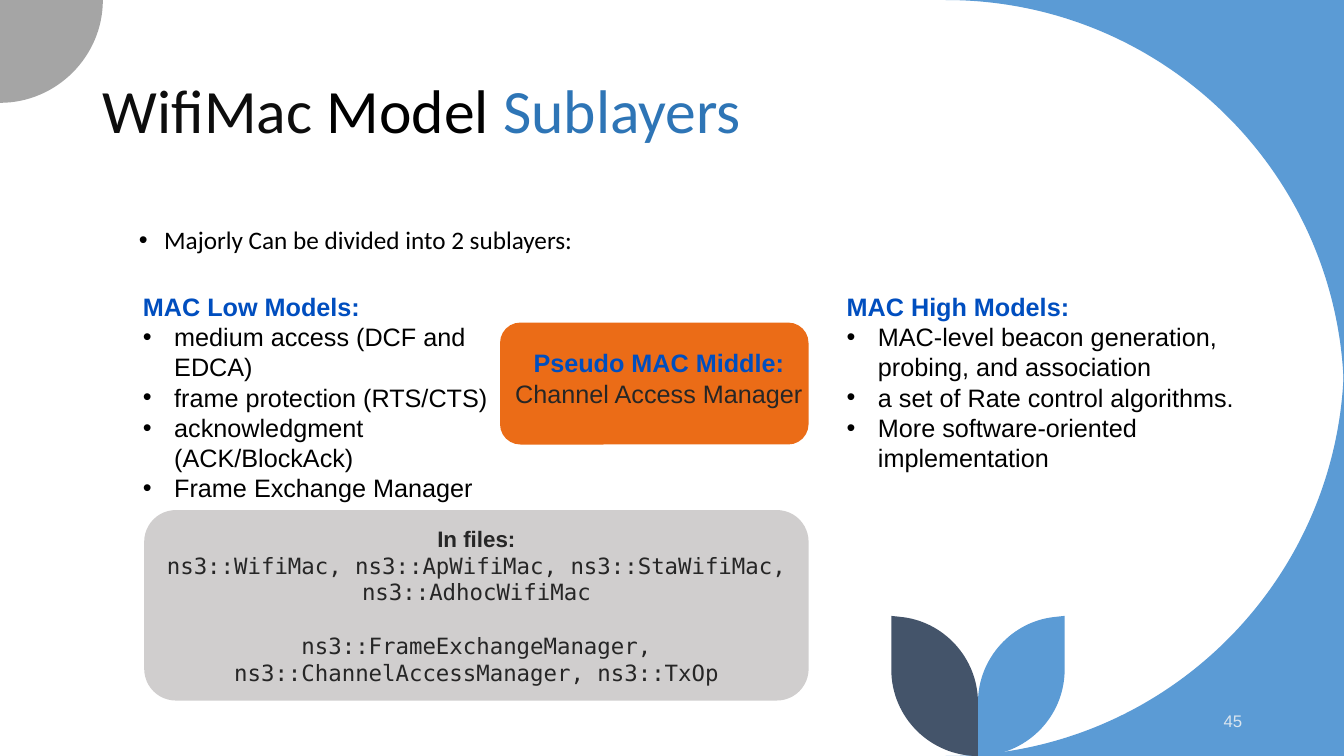
from pptx import Presentation
from pptx.dml.color import RGBColor
from pptx.enum import shapes, text
from pptx.util import Inches, Pt
from lxml import etree

BLUE = RGBColor(0x5B, 0x9B, 0xD5)
GRAY = RGBColor(0xA5, 0xA5, 0xA5)
NAVY = RGBColor(0x44, 0x54, 0x6A)
ORANGE = RGBColor(0xEB, 0x6C, 0x17)
SILVER = RGBColor(0xD0, 0xCE, 0xCE)
HEADING = RGBColor(0x00, 0x4E, 0xBF)
ACCENT = RGBColor(0x2E, 0x75, 0xB6)
INK = RGBColor(0x0D, 0x0D, 0x0D)
BLACK = RGBColor(0, 0, 0)
DARK = RGBColor(0x26, 0x26, 0x26)
PALE = RGBColor(0xDA, 0xE5, 0xEF)

W, H = 13.33, 7.5
TITLE = [("WifiMac", INK), (" Model ", BLACK), ("Sublayers", ACCENT)]
INTRO = "Majorly Can be divided into 2 sublayers:"
COLUMNS = [
    ((1.32, 2.84, 3.87, 2.22), "MAC Low Models:", [
        "medium access (DCF and EDCA)",
        "frame protection (RTS/CTS)",
        "acknowledgment (ACK/BlockAck)",
        "Frame Exchange Manager"]),
    ((8.3, 2.84, 4.17, 1.92), "MAC High Models:", [
        "MAC-level beacon generation, probing, and association",
        "a set of Rate control algorithms.",
        "More software-oriented implementation"]),
]
MIDDLE = ("Pseudo MAC Middle:", "Channel Access Manager")
FILES_HEADING = "In files:"
FILES = [
    ("ns3::WifiMac, ns3::ApWifiMac, ns3::StaWifiMac, ns3::AdhocWifiMac", 0),
    ("ns3::FrameExchangeManager, ns3::ChannelAccessManager, ns3::TxOp", 19),
]
PAGE = "45"

LEAF_X = 9.7
LEAF = [[(0.86, 6.11)], [(0.86, 6.64)], [(0.86, 7.12), (0.47, H), (0, H)],
        [(0, 6.97)], [(0, 6.53), (0.34, 6.16), (0.77, 6.12)]]
CORNERS = [
    ([[(W, 0)], [(9.38, 0)], [(11.57, 0), (W, 1.77), (W, 3.95)]], BLUE),
    ([[(W, 3.55)], [(W, 5.73), (11.57, H), (9.38, H)], [(W, H)]], BLUE),
    ([[(0, 0)], [(1.02, 0)], [(1.02, 0.56), (0.56, 1.02), (0, 1.02)]], GRAY),
]


def paint(sp, color):
    sp.fill.solid()
    sp.fill.fore_color.rgb = color
    sp.line.fill.background()
    sp.shadow.inherit = False


def add_outline(s, outline, color):
    parts = [[(Inches(x), Inches(y)) for x, y in part] for part in outline]
    start, *ends = [part[-1] for part in parts]
    builder = s.shapes.build_freeform(*start, scale=1.0)
    builder.add_line_segments(ends, close=True)
    sp = builder.convert_to_shape()
    ns = sp._element.nsmap["a"]
    segments = list(sp._element.iter(f"{{{ns}}}lnTo"))
    for segment, part in zip(segments, parts[1:]):
        if len(part) == 3:
            segment.clear()
            bend = etree.Element(f"{{{ns}}}cubicBezTo")
            for x, y in part:
                etree.SubElement(bend, f"{{{ns}}}pt", x=str(x - sp.left), y=str(y - sp.top))
            segment.getparent().replace(segment, bend)
    paint(sp, color)


def add_round(s, box, color):
    sp = s.shapes.add_shape(shapes.MSO_SHAPE.ROUNDED_RECTANGLE, *map(Inches, box))
    paint(sp, color)
    return sp


def add_box(s, box, anchor=text.MSO_ANCHOR.TOP):
    tf = s.shapes.add_textbox(*map(Inches, box)).text_frame
    tf.word_wrap = True
    tf.vertical_anchor = anchor
    return tf


def write(tf, words, size=18, font="Arial", color=BLACK, bold=False,
          align=text.PP_ALIGN.LEFT, indent=0, spacing=None, before=0, same=False):
    p = tf.paragraphs[-1]
    if p.runs and not same:
        p = tf.add_paragraph()
    p.alignment = align
    p.line_spacing = spacing
    p.space_before = Pt(before)
    if indent:
        pPr = p._p.get_or_add_pPr()
        pPr.set("marL", str(Inches(indent)))
        pPr.set("indent", str(-Inches(indent)))
        ns = pPr.nsmap["a"]
        etree.SubElement(pPr, f"{{{ns}}}buFont", typeface="Arial")
        etree.SubElement(pPr, f"{{{ns}}}buChar", char="•")
    r = p.add_run()
    r.text = words
    r.font.size = Pt(size)
    r.font.name = font
    r.font.bold = bold
    r.font.color.rgb = color


def main():
    prs = Presentation()
    prs.slide_width, prs.slide_height = Inches(W), Inches(H)
    s = prs.slides.add_slide(prs.slide_layouts[5])

    for outline, color in CORNERS:
        add_outline(s, outline, color)
    for side, color in ((1, BLUE), (-1, NAVY)):
        add_outline(s, [[(LEAF_X + side * x, y) for x, y in part] for part in LEAF], color)

    title = s.shapes.title
    title.left, title.top, title.width, title.height = map(Inches, (0.92, 0.4, 11.5, 1.45))
    tf = title.text_frame
    tf.auto_size = text.MSO_AUTO_SIZE.NONE
    tf.vertical_anchor = text.MSO_ANCHOR.MIDDLE
    for words, color in TITLE:
        write(tf, words, size=44, font="Calibri", color=color, spacing=0.9, same=True)

    write(add_box(s, (1.28, 2.21, 10.69, 0.4)), INTRO, font="Calibri",
          indent=0.25, spacing=0.9, before=10)
    write(add_box(s, (9.42, 6.95, 3, 0.4), text.MSO_ANCHOR.MIDDLE), PAGE,
          size=12, color=PALE, align=text.PP_ALIGN.RIGHT)

    for box, heading, items in COLUMNS:
        tf = add_box(s, box)
        write(tf, heading, color=HEADING, bold=True)
        for item in items:
            write(tf, item, indent=0.31)

    center = text.PP_ALIGN.CENTER
    add_round(s, (4.96, 3.2, 3.06, 1.21), ORANGE)
    tf = add_box(s, (4.6, 3.4, 3.87, 0.71))
    write(tf, MIDDLE[0], color=HEADING, bold=True, align=center)
    write(tf, MIDDLE[1], color=DARK, align=center)

    tf = add_round(s, (1.43, 5.06, 6.59, 1.89), SILVER).text_frame
    tf.word_wrap = True
    tf.vertical_anchor = text.MSO_ANCHOR.MIDDLE
    write(tf, FILES_HEADING, size=16, color=DARK, bold=True, align=center)
    for names, gap in FILES:
        write(tf, names, size=16, font="DejaVu Sans Mono", color=DARK,
              align=center, before=gap)

    prs.save("out.pptx")


if __name__ == "__main__":
    main()
